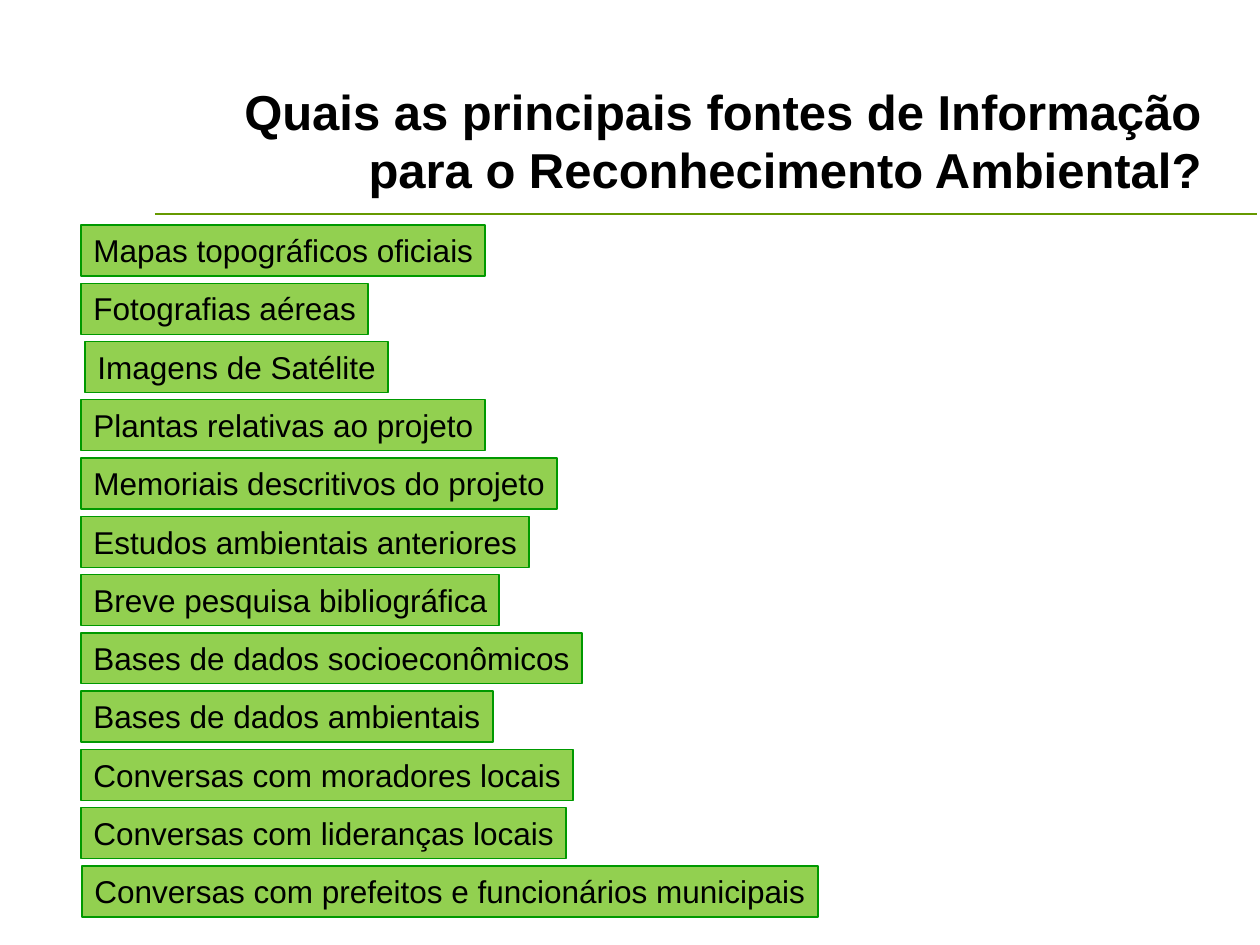
import pptx
import pptx.util
import pptx.dml.color
import pptx.enum.shapes
import pptx.enum.text
import pptx.oxml.ns
import lxml.etree

# Content: each source with its box left and width in px
TITLE = "Quais as principais fontes de Informação para o Reconhecimento Ambiental?"
SOURCES = [
    ("Mapas topográficos oficiais", 81, 404),
    ("Fotografias aéreas", 81, 287),
    ("Imagens de Satélite", 85, 303),
    ("Plantas relativas ao projeto", 81, 404),
    ("Memoriais descritivos do projeto", 81, 476),
    ("Estudos ambientais anteriores", 81, 448),
    ("Breve pesquisa bibliográfica", 81, 418),
    ("Bases de dados socioeconômicos", 81, 501),
    ("Bases de dados ambientais", 81, 412),
    ("Conversas com moradores locais", 81, 492),
    ("Conversas com lideranças locais", 81, 485),
    ("Conversas com prefeitos e funcionários municipais", 82, 736),
]
COLORS = {"text": "000000", "box": "92D050", "border": "009900", "rule": "669900"}
FIRST_TOP, LAST_TOP, BOX_HEIGHT = 225, 866, 51
PITCH = (LAST_TOP - FIRST_TOP) / (len(SOURCES) - 1)


def px(value):
    return pptx.util.Emu(round(value * 914400 / 126))


def color(name):
    return pptx.dml.color.RGBColor.from_string(COLORS[name])


def format_text(paragraph, size, alignment, bold=False):
    paragraph.alignment = alignment
    for run in paragraph.runs:
        run.font.name = "Arial"
        run.font.size = pptx.util.Pt(size)
        run.font.bold = bold
        run.font.color.rgb = color("text")


def add_source(slide, text, left, top, width):
    box = slide.shapes.add_shape(
        pptx.enum.shapes.MSO_SHAPE.RECTANGLE,
        px(left), px(top), px(width), px(BOX_HEIGHT))
    box.shadow.inherit = False
    box.fill.solid()
    box.fill.fore_color.rgb = color("box")
    box.line.color.rgb = color("border")
    box.line.width = pptx.util.Pt(0.75)
    frame = box.text_frame
    frame.text = text
    frame.word_wrap = True
    # No right inset, so each label has room to stay on one line
    frame.margin_right = 0
    frame.auto_size = pptx.enum.text.MSO_AUTO_SIZE.NONE
    frame.vertical_anchor = pptx.enum.text.MSO_ANCHOR.TOP
    format_text(frame.paragraphs[0], 18, pptx.enum.text.PP_ALIGN.LEFT)


def main():
    presentation = pptx.Presentation()
    presentation.slide_width, presentation.slide_height = px(1260), px(945)
    slide = presentation.slides.add_slide(presentation.slide_layouts[5])

    # Title
    title = slide.shapes.title
    title.left, title.top, title.width, title.height = px(164), px(17), px(1050), px(188)
    title.text_frame.text = TITLE
    title.text_frame.word_wrap = True
    title.text_frame.auto_size = pptx.enum.text.MSO_AUTO_SIZE.NONE
    title.text_frame.vertical_anchor = pptx.enum.text.MSO_ANCHOR.BOTTOM
    format_text(title.text_frame.paragraphs[0], 28,
                pptx.enum.text.PP_ALIGN.RIGHT, bold=True)

    # Rule under the title
    rule = slide.shapes.add_connector(
        pptx.enum.shapes.MSO_CONNECTOR.STRAIGHT, px(155), px(214), px(1257), px(214))
    rule.line.color.rgb = color("rule")
    rule.line.width = pptx.util.Pt(1)
    lxml.etree.SubElement(rule.element.spPr, pptx.oxml.ns.qn("a:effectLst"))

    # Evenly spaced source boxes
    for index, (text, left, width) in enumerate(SOURCES):
        add_source(slide, text, left, FIRST_TOP + index * PITCH, width)

    presentation.save("out.pptx")


if __name__ == "__main__":
    main()
